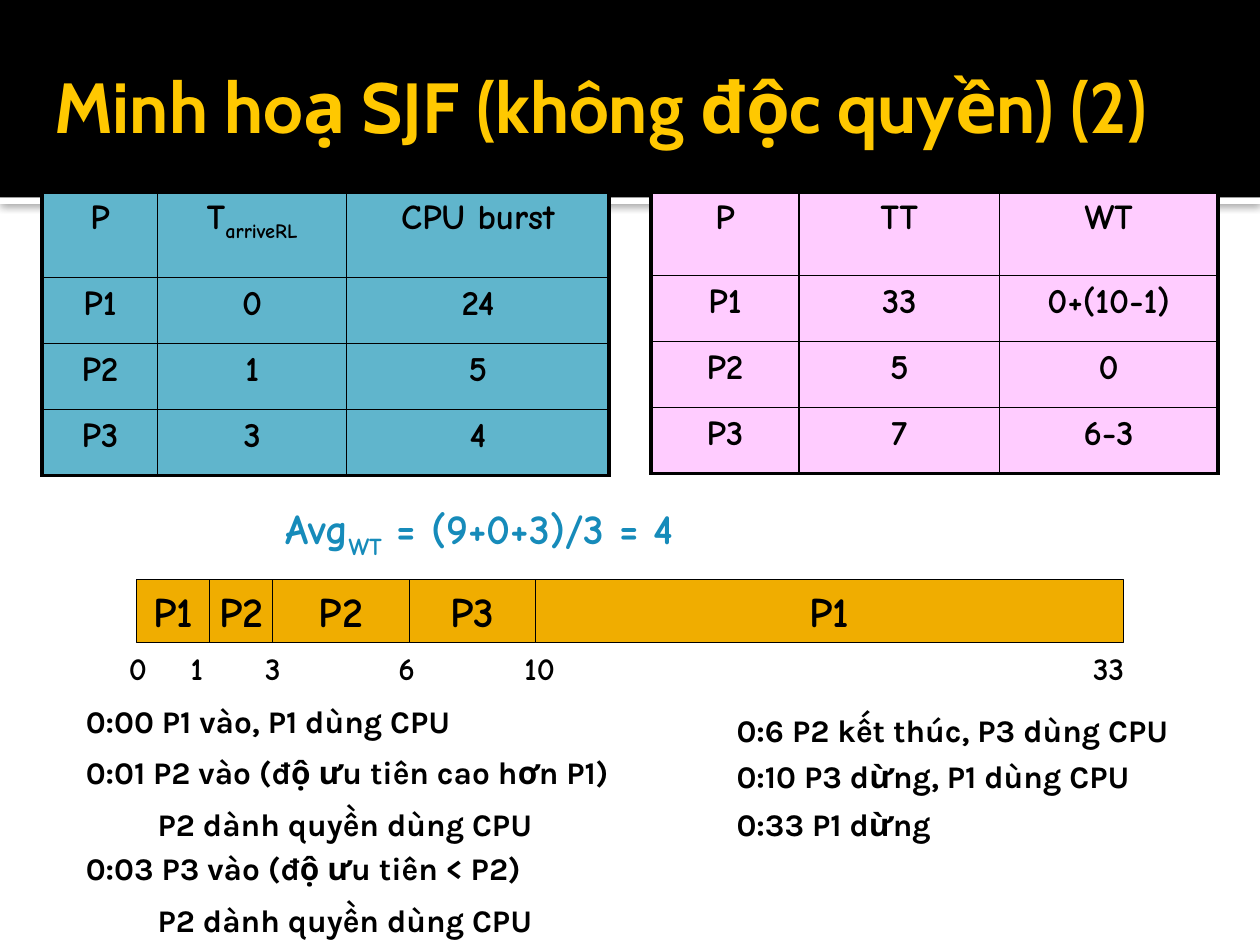
from typing import NamedTuple

from lxml import etree
from pptx import Presentation
from pptx.dml.color import RGBColor
from pptx.enum.shapes import MSO_SHAPE
from pptx.enum.text import MSO_ANCHOR, PP_ALIGN
from pptx.oxml.ns import qn
from pptx.util import Cm, Pt

RECTANGLE = MSO_SHAPE.RECTANGLE
MIDDLE = MSO_ANCHOR.MIDDLE
LEFT, CENTER = PP_ALIGN.LEFT, PP_ALIGN.CENTER
TITLE_FONT, HAND_FONT, BODY_FONT = "Cabin", "Comic Neue", "Karla"
BLACK, WHITE, GOLD = "000000", "FFFFFF", "FFC800"
TEAL, PINK, BLUE, ORANGE = "60B5CC", "FFCCFF", "168BBA", "F0AD00"
OUTER_LINE, INNER_LINE = 2.25, 1


class Box(NamedTuple):
    left: float
    top: float
    width: float
    height: float

    def inside(self, left, top, width, height):
        return Box(self.left + left, self.top + top, width, height)

    def lengths(self):
        return [Cm(value) for value in self]


def color(value):
    return RGBColor.from_string(value)


def write(paragraph, parts, font, size, ink=BLACK, alignment=LEFT):
    paragraph.alignment = alignment
    paragraph.font.name = font
    paragraph.font.size = Pt(size)
    paragraph.font.bold = True
    paragraph.font.color.rgb = color(ink)
    for index, part in enumerate(parts):
        run = paragraph.add_run()
        run.text = part
        if index % 2:
            etree.SubElement(run._r.get_or_add_rPr(), qn("a:latin"), typeface=font)
            run._r.get_or_add_rPr().set("baseline", "-25000")


def add_text(slide, box, parts, font, size, ink=BLACK, alignment=LEFT):
    shape = slide.shapes.add_textbox(*box.lengths())
    shape.text_frame.word_wrap = True
    write(shape.text_frame.paragraphs[0], parts, font, size, ink, alignment)
    return shape


def add_rectangle(slide, box, fill):
    shape = slide.shapes.add_shape(RECTANGLE, *box.lengths())
    shape.shadow.inherit = False
    shape.fill.solid()
    shape.fill.fore_color.rgb = color(fill)
    shape.line.fill.background()
    return shape


def add_soft_shadow(shape):
    effects = shape._element.spPr.find(qn("a:effectLst"))
    shadow = etree.SubElement(
        effects, qn("a:outerShdw"), blurRad=str(Pt(5)), dist=str(Pt(0.8)),
        dir="5400000", algn="t", rotWithShape="0")
    tint = etree.SubElement(shadow, qn("a:srgbClr"), val=BLACK)
    etree.SubElement(tint, qn("a:alpha"), val="60000")


def add_header(slide, box, title):
    add_soft_shadow(add_rectangle(slide, box.inside(0, box.height, box.width, 0.13), WHITE))
    add_rectangle(slide, box, BLACK)
    shape = add_text(slide, box.inside(0.85, 1.06, 23, 2.12), [title], TITLE_FONT, 40.5, GOLD)
    shape.text_frame.vertical_anchor = MIDDLE
    shape.text_frame.margin_right = Cm(0.13)


def set_borders(cell, widths):
    properties = cell._tc.get_or_add_tcPr()
    for side, width in zip("LRTB", widths):
        line = etree.SubElement(properties, qn(f"a:ln{side}"), w=str(Pt(width)))
        fill = etree.SubElement(line, qn("a:solidFill"))
        etree.SubElement(fill, qn("a:srgbClr"), val=BLACK)


def add_process_table(slide, box, column_widths, header_height, rows, fill):
    last_row, last_column = len(rows) - 1, len(column_widths) - 1
    frame = slide.shapes.add_table(len(rows), len(column_widths), *box.lengths())
    table = frame.table
    table.first_row = table.horz_banding = False
    for column, width in zip(table.columns, column_widths):
        column.width = Cm(width)
    body_height = (box.height - header_height) / last_row
    for row_index, values in enumerate(rows):
        table.rows[row_index].height = Cm(body_height if row_index else header_height)
        for column_index, parts in enumerate(values):
            cell = table.cell(row_index, column_index)
            on_edge = (column_index == 0, column_index == last_column,
                       row_index == 0, row_index == last_row)
            set_borders(cell, [OUTER_LINE if edge else INNER_LINE for edge in on_edge])
            cell.fill.solid()
            cell.fill.fore_color.rgb = color(fill)
            parts = [parts] if isinstance(parts, str) else parts
            write(cell.text_frame.paragraphs[0], parts, HAND_FONT, 20, alignment=CENTER)


def add_gantt(slide, box, segments, marks):
    left = 0
    for name, width in segments:
        bar = add_rectangle(slide, box.inside(left, 0, width, box.height), ORANGE)
        bar.line.color.rgb = color(BLACK)
        bar.line.width = Pt(0.75)
        bar.text_frame.word_wrap = False
        bar.text_frame.vertical_anchor = MIDDLE
        write(bar.text_frame.paragraphs[0], [name], HAND_FONT, 24, alignment=CENTER)
        left += width
    label_width = 1.4
    for time, center in marks:
        label = box.inside(center - label_width / 2, box.height, label_width, 1.02)
        add_text(slide, label, [time], HAND_FONT, 18, alignment=CENTER)


def add_event_log(slide, box, events):
    for top, indent, text in events:
        add_text(slide, box.inside(indent, top, box.width - indent, 1.02),
                 [text], BODY_FONT, 18)


def main():
    presentation = Presentation()
    presentation.slide_width, presentation.slide_height = Cm(25.4), Cm(19.05)
    slide = presentation.slides.add_slide(presentation.slide_layouts[6])

    add_header(slide, Box(0, 0, 25.4, 3.98), "Minh hoạ SJF (không độc quyền) (2)")
    add_process_table(
        slide, Box(0.85, 3.87, 11.43, 5.71), [2.33, 3.81, 5.29], 1.72,
        [["P", ("T", "arriveRL"), "CPU burst"],
         ["P1", "0", "24"], ["P2", "1", "5"], ["P3", "3", "4"]], TEAL)
    add_process_table(
        slide, Box(13.12, 3.87, 11.43, 5.67), [2.99, 4.04, 4.4], 1.68,
        [["P", "TT", "WT"],
         ["P1", "33", "0+(10-1)"], ["P2", "5", "0"], ["P3", "7", "6-3"]], PINK)
    add_text(slide, Box(5.5, 10.01, 13.55, 1.27),
             ["Avg", "WT", " = (9+0+3)/3 = 4"], HAND_FONT, 24, BLUE)
    add_gantt(
        slide, Box(2.75, 11.68, 19.9, 1.27),
        [("P1", 1.48), ("P2", 1.27), ("P2", 2.75), ("P3", 2.54), ("P1", 11.86)],
        [("0", 0.03), ("1", 1.22), ("3", 2.75), ("6", 5.45), ("10", 8.13), ("33", 19.6)])
    add_event_log(
        slide, Box(1.48, 14.02, 12.6, 5.03),
        [(0, 0, "0:00 P1 vào, P1 dùng CPU"),
         (1.04, 0, "0:01 P2 vào (độ ưu tiên cao hơn P1)"),
         (2.08, 1.45, "P2 dành quyền dùng CPU"),
         (2.97, 0, "0:03 P3 vào (độ ưu tiên < P2)"),
         (4.01, 1.45, "P2 dành quyền dùng CPU")])
    add_event_log(
        slide, Box(14.6, 14.2, 10.4, 2.92),
        [(0, 0, "0:6 P2 kết thúc, P3 dùng CPU"),
         (0.94, 0, "0:10 P3 dừng, P1 dùng CPU"),
         (1.9, 0, "0:33 P1 dừng")])
    presentation.save("out.pptx")


if __name__ == "__main__":
    main()
